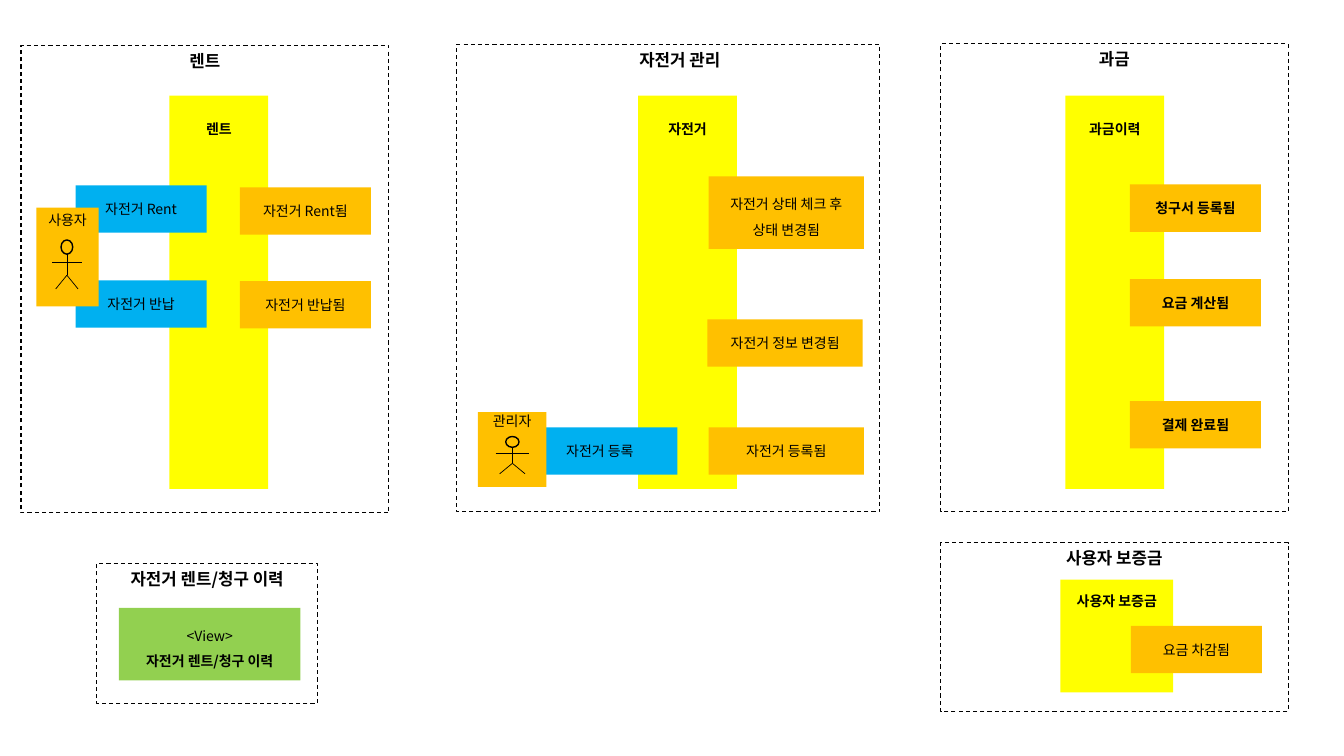
from pptx import Presentation
from pptx.dml.color import RGBColor
from pptx.enum.dml import MSO_LINE
from pptx.enum.shapes import MSO_CONNECTOR, MSO_SHAPE
from pptx.enum.text import MSO_ANCHOR, PP_ALIGN
from pptx.oxml.ns import qn
from pptx.util import Pt
from lxml.etree import SubElement

YELLOW, BLUE, ORANGE, GREEN = "FFFF00", "00B0F0", "FFC000", "92D050"


def color(code):
    return RGBColor.from_string(code)


def write(shape, text, size=10, bold=False, top=None, left=7.2, gap=1.0):
    """Centre the lines; a given top inset pins them to the upper edge."""
    frame = shape.text_frame
    frame.word_wrap = True
    frame.margin_left, frame.margin_right = Pt(left), Pt(0)
    if left == 7.2:
        frame.margin_right = Pt(left)
    frame.margin_top = Pt(3.6 if top is None else top)
    frame.vertical_anchor = MSO_ANCHOR.MIDDLE if top is None else MSO_ANCHOR.TOP
    lines = text.split("\n")
    for i, line in enumerate(lines):
        para = frame.paragraphs[0] if i == 0 else frame.add_paragraph()
        para.alignment, para.line_spacing = PP_ALIGN.CENTER, gap
        run = para.add_run()
        run.text = line
        font = run.font
        font.name, font.size = Board.face, Pt(size)
        font.bold = bold == "last" and i == len(lines) - 1 or bold is True
        font.color.rgb = color(Board.ink)
        SubElement(font._element, qn("a:ea")).set("typeface", Board.face)


class Board:
    face, ink = "Noto Sans CJK KR", "000000"

    def __init__(self, slide):
        self.slide = slide
        self.shapes = slide.shapes

    def shape(self, kind, x, y, w, h, fill=None, line=None):
        item = self.shapes.add_shape(kind, Pt(x), Pt(y), Pt(w), Pt(h))
        item.shadow.inherit = False
        if fill:
            item.fill.solid()
            item.fill.fore_color.rgb = color(fill)
        else:
            item.fill.background()
        if line:
            item.line.color.rgb = color(self.ink)
            item.line.width = Pt(line)
        else:
            item.line.fill.background()
        return item

    def note(self, x, y, w, h, fill, text, **style):
        item = self.shape(MSO_SHAPE.RECTANGLE, x, y, w, h, fill)
        write(item, text, **style)

    def frame(self, x, y, w, h, title, left=7.2):
        item = self.shape(MSO_SHAPE.RECTANGLE, x, y, w, h, line=0.75)
        item.line.dash_style = MSO_LINE.DASH
        write(item, title, size=12, bold=True, top=3.6, left=left)

    def line(self, x1, y1, x2, y2):
        item = self.shapes.add_connector(
            MSO_CONNECTOR.STRAIGHT, Pt(x1), Pt(y1), Pt(x2), Pt(y2))
        item.line.color.rgb = color(self.ink)
        item.line.width = Pt(0.5)
        SubElement(item._element.spPr, qn("a:effectLst"))

    def actor(self, box, name, top, mid, y, w, h):
        """Card with a stick figure of w by h, centred on mid, from y down."""
        self.shapes = self.slide.shapes.add_group_shape().shapes
        self.note(*box, ORANGE, name, top=top, left=0)
        head, arm, hip = 0.29 * h, y + 0.45 * h, y + 0.72 * h
        self.shape(MSO_SHAPE.OVAL, mid - 0.2 * w, y, 0.4 * w, head, line=1)
        self.line(mid - w / 2, arm, mid + w / 2, arm)
        self.line(mid, y + head, mid, hip)
        for side in (-1, 1):
            self.line(mid, hip, mid + side * 0.38 * w, y + h)
        self.shapes = self.slide.shapes


deck = Presentation()
deck.slide_width, deck.slide_height = Pt(960), Pt(540)
board = Board(deck.slides.add_slide(deck.slide_layouts[6]))

# Context frames
board.frame(15, 32.4, 262.8, 334, "렌트")
board.frame(326.2, 31.7, 302.4, 334, "자전거 관리", left=16.4)
board.frame(671.8, 31.4, 248.4, 334, "과금")
board.frame(671.8, 387.8, 248.4, 120.4, "사용자 보증금")
board.frame(69.1, 402.5, 157.7, 100, "자전거 렌트/청구 이력")

# Aggregates
for x, name in ((121, "렌트"), (455.8, "자전거"), (761, "과금이력")):
    board.note(x, 68.4, 70.6, 280.8, YELLOW, name, bold=True, top=18)
board.note(757.4, 414, 80.6, 80.6, YELLOW, "사용자 보증금",
           bold=True, top=9.5, left=0)

# Commands
for x, y, w, text in ((54, 132.5, 93.6, "자전거 Rent"),
                      (54, 200.2, 93.6, "자전거 반납"),
                      (373, 305.3, 110.9, "자전거 등록")):
    board.note(x, y, w, 33.8, BLUE, text)

# Events
for x, y, w, text, bold in (
        (171.4, 133.9, 93.6, "자전거 Rent됨", False),
        (171.4, 200.9, 93.6, "자전거 반납됨", False),
        (505.4, 228.2, 110.9, "자전거 정보 변경됨", False),
        (506.2, 305.3, 110.9, "자전거 등록됨", False),
        (807.1, 131.8, 93.6, "청구서 등록됨", True),
        (807.1, 199.4, 93.6, "요금 계산됨", True),
        (807.1, 286.6, 93.6, "결제 완료됨", True),
        (807.8, 447.1, 93.6, "요금 차감됨", False)):
    board.note(x, y, w, 33.8, ORANGE, text, bold=bold)
board.note(506.2, 126, 110.9, 51.8, ORANGE,
           "자전거 상태 체크 후\n상태 변경됨", gap=1.5)

# Actors
board.actor((25.9, 148.3, 44.6, 70.6), "사용자", 3, 47.8, 171.4, 21, 35)
board.actor((341.3, 294.5, 49, 53.3), "관리자", 0.5, 366, 311.8, 23.8, 26.6)

# View
board.note(85, 434.2, 129.6, 51.8, GREEN,
           "<View>\n자전거 렌트/청구 이력", bold="last", gap=1.5)

deck.save("out.pptx")
